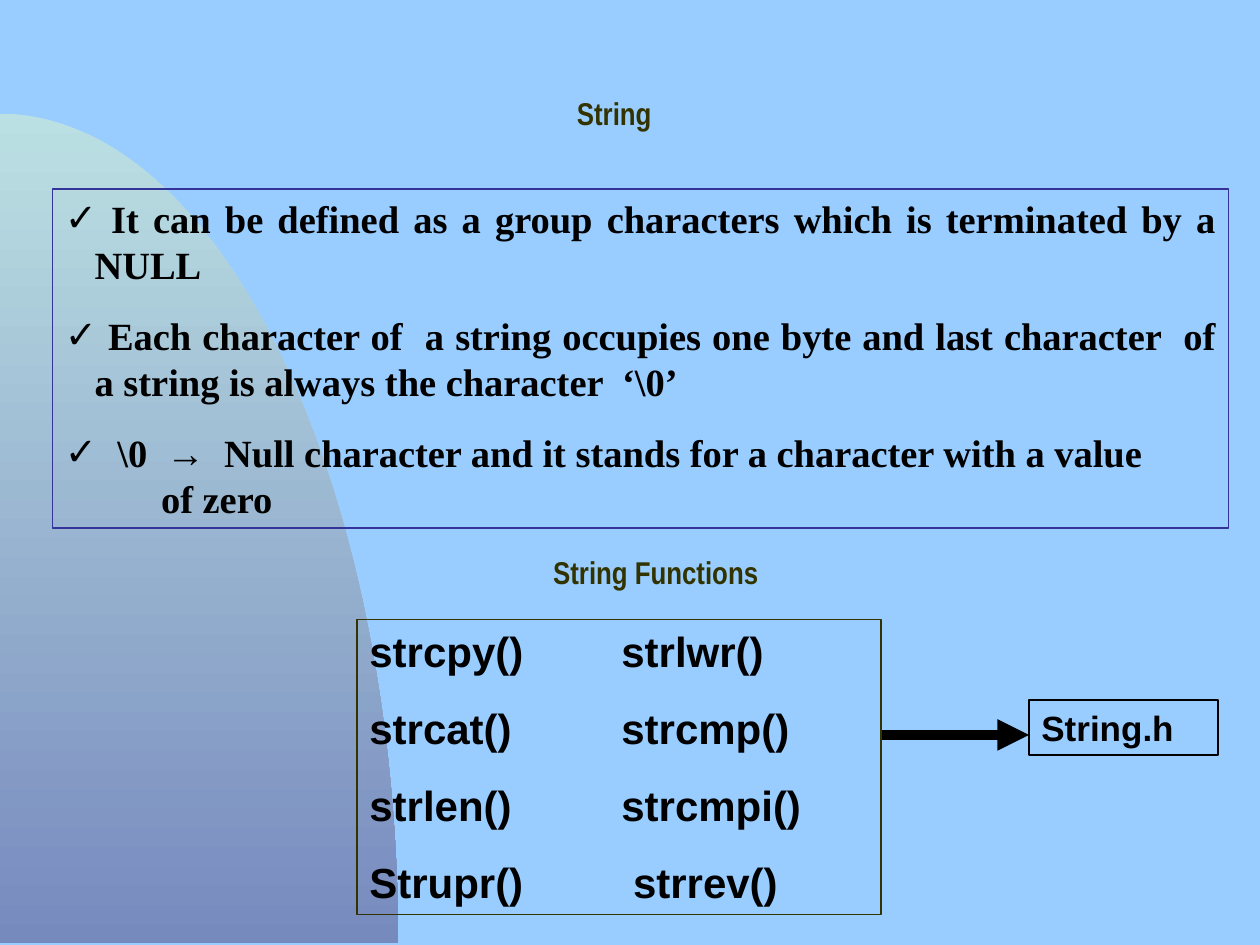
from math import cos, pi, sin

from lxml import etree
from pptx import Presentation
from pptx.dml.color import RGBColor
from pptx.enum.shapes import MSO_CONNECTOR, MSO_SHAPE
from pptx.enum.text import MSO_ANCHOR, PP_ALIGN
from pptx.oxml.ns import qn
from pptx.util import Pt


def color(code):
    """Turn a hex string into a colour."""
    return RGBColor.from_string(code)


def style(para, size, face="Arial", ink="000000"):
    """Set the bold font of each run in a paragraph."""
    for run in para.runs:
        font = run.font
        font.size, font.name, font.bold = Pt(size), face, True
        font.color.rgb = color(ink)


def curve(slide):
    """Draw the shaded quarter ellipse at the lower left."""
    wide, high, base, steps = 227.5, 474, 539, 90
    angles = [pi / 2 * i / steps for i in range(steps + 1)]
    points = [(wide * sin(a), base - high * cos(a)) for a in angles]
    maker = slide.shapes.build_freeform(0, Pt(base), scale=1.0)
    maker.add_line_segments([(Pt(x), Pt(y)) for x, y in points])
    shape = maker.convert_to_shape()
    shape.shadow.inherit = False
    shape.line.fill.background()
    shape.fill.gradient()
    shape.fill.gradient_angle = 270
    for stop, code in zip(shape.fill.gradient_stops, ("BBE0E3", "778ABE")):
        stop.color.rgb = color(code)


def title(slide, text, left, top, width, height):
    """Add a centred heading."""
    frame = slide.shapes.add_textbox(Pt(left), Pt(top), Pt(width), Pt(height)).text_frame
    frame.word_wrap = True
    frame.vertical_anchor = MSO_ANCHOR.MIDDLE
    frame.text = text
    para = frame.paragraphs[0]
    para.alignment = PP_ALIGN.CENTER
    style(para, 18, "Arial Narrow", "333300")


def box(slide, lines, left, top, width, height, edge, gap=0):
    """Add an unfilled frame with lines of text and return its paragraphs."""
    shape = slide.shapes.add_shape(
        MSO_SHAPE.RECTANGLE, Pt(left), Pt(top), Pt(width), Pt(height))
    shape.shadow.inherit = False
    shape.fill.background()
    shape.line.color.rgb = color(edge)
    shape.line.width = Pt(0.75)
    frame = shape.text_frame
    frame.word_wrap = True
    frame.vertical_anchor = MSO_ANCHOR.TOP
    frame.text = "\n".join(lines)
    for i, para in enumerate(frame.paragraphs):
        para.alignment = PP_ALIGN.LEFT
        para.space_before = Pt(gap if i else 0)
    return frame.paragraphs


def bullet(para, indent):
    """Give a paragraph a hanging tick."""
    props = para._p.get_or_add_pPr()
    props.set("marL", str(Pt(indent)))
    props.set("indent", str(-Pt(indent)))
    etree.SubElement(props, qn("a:buFont")).set("typeface", "Arial")
    etree.SubElement(props, qn("a:buChar")).set("char", "✓")


def facts(slide):
    """Add the framed facts about strings."""
    lines = [
        " It can be defined as a group characters which is terminated by a NULL",
        " Each character of  a string occupies one byte and last character  of "
        "a string is always the character  ‘\\0’",
        "\\0  →  Null character and it stands for a character with a value",
        "of zero",
    ]
    paras = box(slide, lines, 30, 108, 672, 193.7, "333399", 14)
    for para, indent in zip(paras, (17, 17, 30)):
        bullet(para, indent)
    for para in paras:
        style(para, 22, "Times New Roman")
    for para in paras[:2]:
        para.alignment = PP_ALIGN.JUSTIFY
    last = paras[-1]
    last.space_before = Pt(0)
    last._p.get_or_add_pPr().set("marL", str(Pt(55)))


def calls(slide):
    """Add the two columns of string functions."""
    pairs = [("strcpy()", "strlwr()"), ("strcat()", "strcmp()"),
             ("strlen()", "strcmpi()"), ("Strupr()", " strrev()")]
    lines = ["\t".join(pair) for pair in pairs]
    for para in box(slide, lines, 204, 354, 299.5, 168.5, "333300", 15.2):
        tabs = etree.SubElement(para._p.get_or_add_pPr(), qn("a:tabLst"))
        etree.SubElement(tabs, qn("a:tab"), pos=str(Pt(144)), algn="l")
        style(para, 24)


def arrow(slide, start, end, level):
    """Draw a thick level arrow."""
    line = slide.shapes.add_connector(
        MSO_CONNECTOR.STRAIGHT, Pt(start), Pt(level), Pt(end), Pt(level))
    line.line.color.rgb = color("000000")
    line.line.width = Pt(6)
    etree.SubElement(line.line._get_or_add_ln(), qn("a:tailEnd")).set("type", "triangle")
    etree.SubElement(line._element.spPr, qn("a:effectLst"))


def main():
    """Build the slide and save it."""
    deck = Presentation()
    deck.slide_width, deck.slide_height = Pt(720), Pt(540)
    slide = deck.slides.add_slide(deck.slide_layouts[6])
    slide.background.fill.solid()
    slide.background.fill.fore_color.rgb = color("99CCFF")
    curve(slide)
    title(slide, "String", 252, 42, 198, 44.5)
    facts(slide)
    calls(slide)
    title(slide, "String Functions", 234, 306, 281.5, 42)
    style(box(slide, ["String.h"], 588, 400, 108, 31.5, "000000")[0], 20)
    arrow(slide, 504, 588, 420)
    deck.save("out.pptx")


if __name__ == "__main__":
    main()
